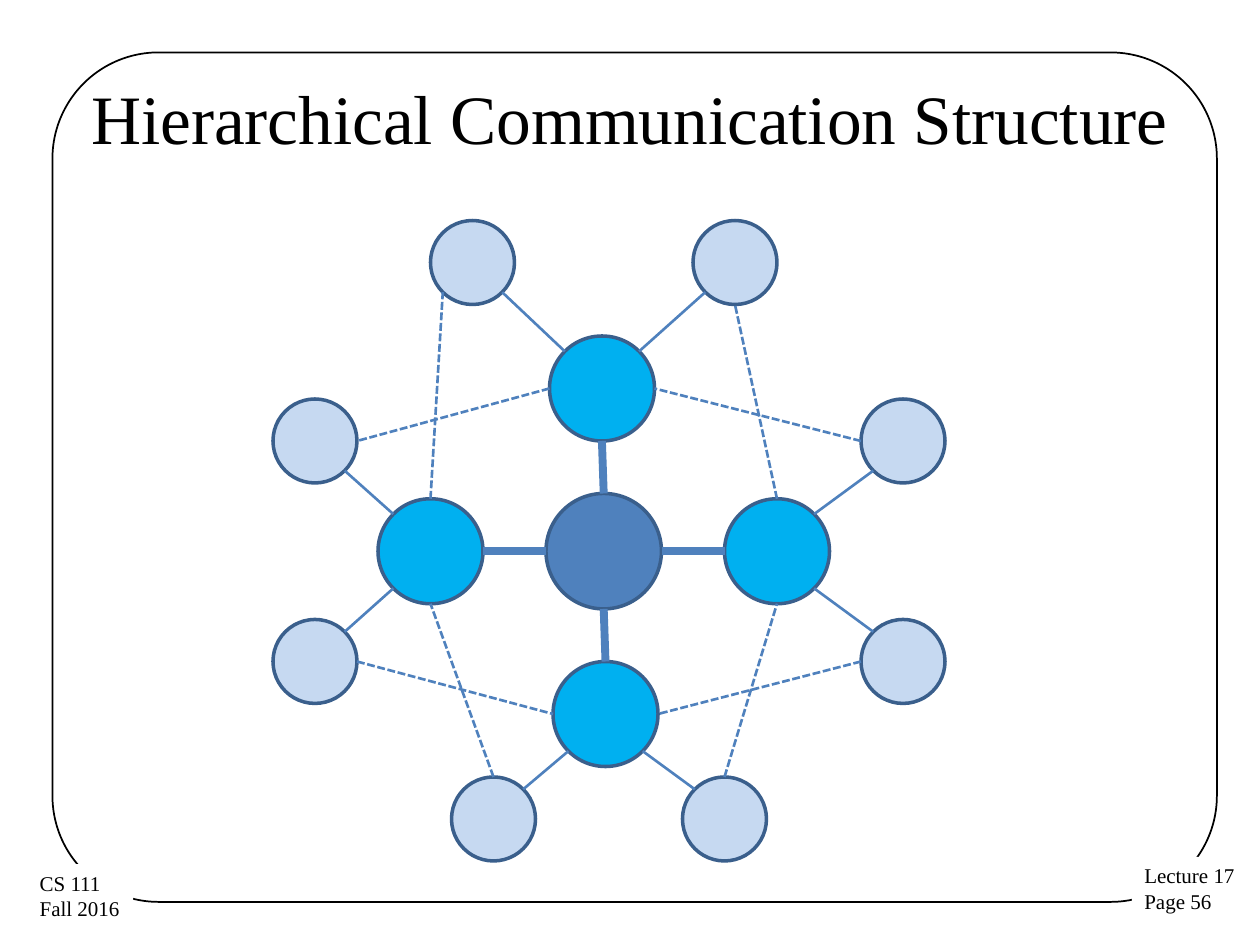
from math import cos, radians, sin

from lxml.etree import SubElement
from pptx import Presentation
from pptx.dml.color import RGBColor
from pptx.enum.dml import MSO_LINE
from pptx.enum.shapes import MSO_CONNECTOR, MSO_SHAPE
from pptx.enum.text import MSO_ANCHOR, MSO_AUTO_SIZE, PP_ALIGN
from pptx.oxml.ns import qn
from pptx.util import Inches, Pt

COLUMNS, ROWS = 120, 90
CELL = Inches(10) / COLUMNS
FONT = "Times New Roman"
BLACK, WHITE = "000000", "FFFFFF"
LINK, OUTLINE = "4F81BD", "3A5F8C"
ANGLES = {"E": 0, "SE": 45, "S": 90, "SW": 135, "W": 180, "NW": 225, "N": 270, "NE": 315}

LEVELS = {"hub": (11, "4F81BD"), "relay": (10, "00B0F0"), "leaf": (8, "C6D9F1")}
NODES = {
    "hub": ("hub", 57.5, 52.5),
    "west": ("relay", 41, 52.5),
    "leaf south west": ("leaf", 47, 78),
    "leaf south east": ("leaf", 69, 78),
    "leaf east south": ("leaf", 86, 63),
    "leaf east north": ("leaf", 86, 42),
    "leaf north east": ("leaf", 70, 25),
    "leaf north west": ("leaf", 45, 25),
    "leaf west north": ("leaf", 30, 42),
    "leaf west south": ("leaf", 30, 63),
    "north": ("relay", 57.33, 37),
    "east": ("relay", 74, 52.5),
    "south": ("relay", 57.67, 68),
}
TRUNKS = [
    ("north", "S", "hub", "N"),
    ("hub", "S", "south", "N"),
    ("hub", "E", "east", "W"),
    ("west", "E", "hub", "W"),
]
BRANCHES = [
    ("east", "SE", "leaf east south", "NW"),
    ("east", "NE", "leaf east north", "SW"),
    ("south", "SE", "leaf south east", "NW"),
    ("south", "SW", "leaf south west", "NE"),
    ("west", "SW", "leaf west south", "NE"),
    ("west", "NW", "leaf west north", "SE"),
    ("leaf north west", "SE", "north", "NW"),
    ("leaf north east", "SW", "north", "NE"),
]
BACKUPS = [
    ("east", "N", "leaf north east", "S"),
    ("leaf south east", "N", "east", "S"),
    ("leaf east north", "W", "north", "E"),
    ("north", "W", "leaf west north", "E"),
    ("leaf east south", "W", "south", "E"),
    ("leaf west south", "E", "south", "W"),
    ("west", "N", "leaf north west", "SW"),
    ("leaf south west", "N", "west", "S"),
]


def color(value):
    """Turn a hex string into a colour."""
    return RGBColor.from_string(value)


def cells(*counts):
    """Turn counts of grid cells into lengths."""
    return [round(count * CELL) for count in counts]


def add_figure(page, preset, box, fill=None, line=None, width=1):
    """Add a preset shape over a box given in grid cells."""
    shape = page.shapes.add_shape(preset, *cells(*box))
    shape.shadow.inherit = False
    if fill:
        shape.fill.solid()
        shape.fill.fore_color.rgb = color(fill)
    else:
        shape.fill.background()
    if line:
        shape.line.color.rgb = color(line)
        shape.line.width = Pt(width)
    else:
        shape.line.fill.background()
    return shape


def write(shape, text, size, align=PP_ALIGN.LEFT, anchor=MSO_ANCHOR.TOP, wrap=True):
    """Write lines of text into a shape, one paragraph a line."""
    frame = shape.text_frame
    frame.word_wrap = wrap
    frame.auto_size = MSO_AUTO_SIZE.NONE if wrap else MSO_AUTO_SIZE.SHAPE_TO_FIT_TEXT
    frame.vertical_anchor = anchor
    frame.text = text
    for para in frame.paragraphs:
        para.alignment = align
        for span in para.runs:
            span.font.name = FONT
            span.font.size = Pt(size)
            span.font.color.rgb = color(BLACK)


def add_footer(page, text, box):
    """Add a white corner label that interrupts the frame."""
    write(add_figure(page, MSO_SHAPE.RECTANGLE, box, fill=WHITE), text, 12, wrap=False)


def add_node(page, level, x, y):
    """Add a circle of the given level around its centre."""
    size, fill = LEVELS[level]
    box = (x - size / 2, y - size / 2, size, size)
    add_figure(page, MSO_SHAPE.OVAL, box, fill, OUTLINE, 2)


def rim(name, side):
    """Find the point on a node's rim that faces a compass side."""
    level, x, y = NODES[name]
    radius, angle = LEVELS[level][0] / 2, radians(ANGLES[side])
    return cells(x + radius * cos(angle), y + radius * sin(angle))


def add_links(page, links, width, dash=None):
    """Draw straight links between the rims of nodes."""
    for start, start_side, end, end_side in links:
        link = page.shapes.add_connector(
            MSO_CONNECTOR.STRAIGHT, *rim(start, start_side), *rim(end, end_side))
        link.line.color.rgb = color(LINK)
        link.line.width = Pt(width)
        if dash:
            link.line.dash_style = dash
        SubElement(link._element.spPr, qn("a:effectLst"))


def main():
    """Build the slide and save it."""
    deck = Presentation()
    deck.slide_width, deck.slide_height = cells(COLUMNS, ROWS)
    page = deck.slides.add_slide(deck.slide_layouts[6])

    frame = add_figure(page, MSO_SHAPE.ROUNDED_RECTANGLE, (5, 5, 110.9, 80.9), line=BLACK)
    frame.adjustments[0] = 0.125
    add_footer(page, "Lecture 17\nPage 56", (107.8, 81.6, 11.2, 6.1))
    add_footer(page, "CS 111\nFall 2016", (2.6, 82.3, 10.1, 6.1))
    title = page.shapes.add_textbox(*cells(6, 3.6, 108, 15))
    write(title, "Hierarchical Communication Structure", 39.6,
          align=PP_ALIGN.CENTER, anchor=MSO_ANCHOR.MIDDLE)

    for node in NODES.values():
        add_node(page, *node)
    add_links(page, TRUNKS, 4.5)
    add_links(page, BRANCHES, 1.5)
    add_links(page, BACKUPS, 1.5, MSO_LINE.SQUARE_DOT)
    deck.save("out.pptx")


if __name__ == "__main__":
    main()
